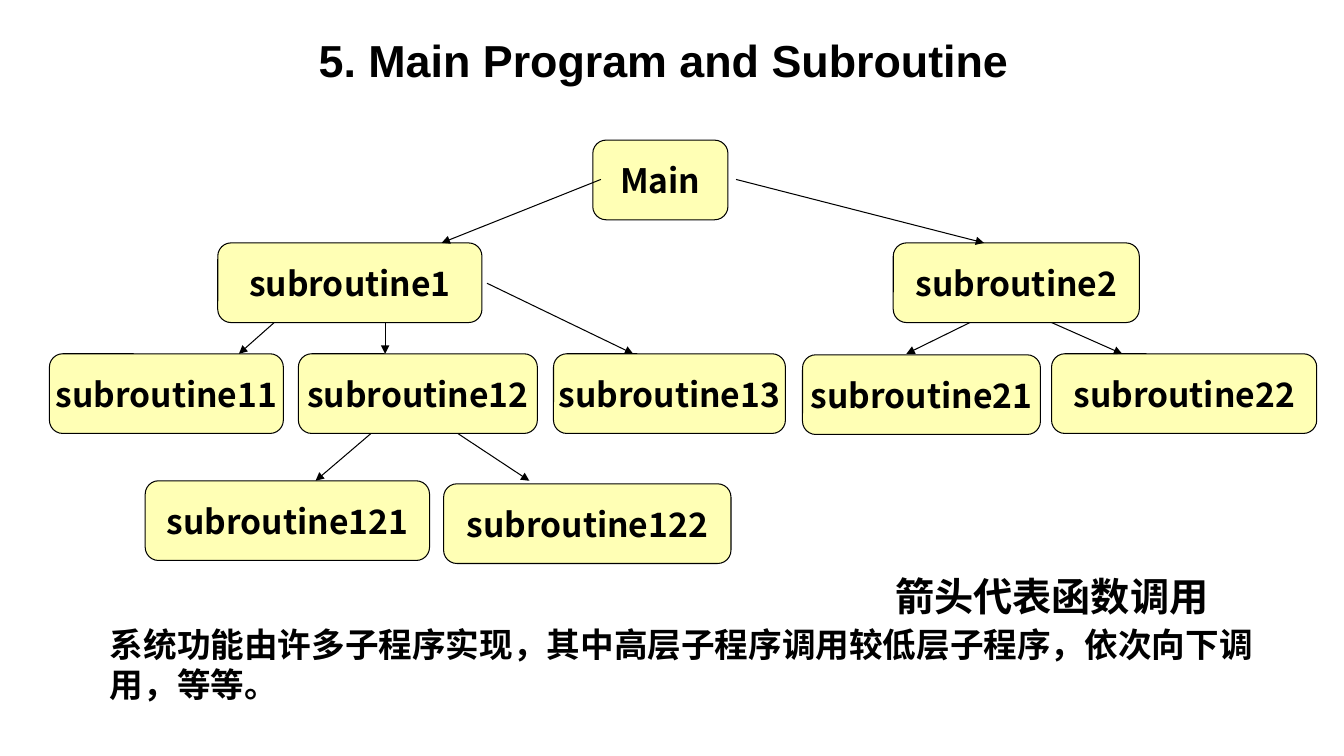
from lxml import etree
from pptx import Presentation
from pptx.dml.color import RGBColor
from pptx.enum.shapes import MSO_CONNECTOR, MSO_SHAPE
from pptx.enum.text import MSO_ANCHOR, MSO_AUTO_SIZE, PP_ALIGN
from pptx.oxml.ns import qn
from pptx.util import Inches, Pt

STRAIGHT = MSO_CONNECTOR.STRAIGHT
ROUNDED = MSO_SHAPE.ROUNDED_RECTANGLE
MIDDLE, TOP = MSO_ANCHOR.MIDDLE, MSO_ANCHOR.TOP
CENTER, LEFT = PP_ALIGN.CENTER, PP_ALIGN.LEFT
NO_FIT = MSO_AUTO_SIZE.NONE

COLORS = {"ink": "000000", "box": "FFFF00", "paper": "FFFFFF"}
CJK_FONT = "Noto Sans CJK SC"
BOX_HEIGHT = 0.79
TIERS = [1.39, 2.41, 3.51, 4.77]

# routine, left, top, width
ROUTINES = [
    ("Main", 5.88, TIERS[0], 1.34),
    ("subroutine1", 2.16, TIERS[1], 2.62),
    ("subroutine2", 8.86, TIERS[1], 2.44),
    ("subroutine11", 0.49, TIERS[2], 2.32),
    ("subroutine12", 2.96, TIERS[2], 2.37),
    ("subroutine13", 5.49, TIERS[2], 2.3),
    ("subroutine21", 7.96, TIERS[2] + 0.01, 2.36),
    ("subroutine22", 10.43, TIERS[2], 2.63),
    ("subroutine121", 1.44, TIERS[3], 2.82),
    ("subroutine122", 4.4, TIERS[3] + 0.03, 2.85),
]

# caller x, caller y, callee x, callee y
CALLS = [
    (5.96, 1.78, 4.38, TIERS[1]),
    (7.3, 1.78, 9.76, TIERS[1]),
    (2.72, 3.2, 2.37, TIERS[2]),
    (3.82, 3.2, 3.82, TIERS[2]),
    (4.83, 2.81, 6.28, TIERS[2]),
    (9.62, 3.2, 8.99, TIERS[2]),
    (10.43, 3.2, 11.13, TIERS[2]),
    (3.68, 4.3, 3.13, TIERS[3]),
    (4.54, 4.3, 5.25, TIERS[3]),
]


def add_bold_run(paragraph, text, size, font_name=CJK_FONT):
    """Add a bold run whose Latin and East Asian fonts are both font_name."""
    run = paragraph.add_run()
    run.text = text
    run.font.size = Pt(size)
    run.font.bold = True
    run.font.name = font_name
    run.font.color.rgb = RGBColor.from_string(COLORS["ink"])
    east_asian = etree.SubElement(run.font._element, qn("a:ea"))
    east_asian.set("typeface", font_name)


def place(shape, left, top, width, height):
    shape.left, shape.top = Inches(left), Inches(top)
    shape.width, shape.height = Inches(width), Inches(height)


prs = Presentation()
prs.slide_width, prs.slide_height = Inches(13.33), Inches(7.5)
slide = prs.slides.add_slide(prs.slide_layouts[1])

# Title
title = slide.shapes.title
place(title, 2.57, 0.28, 8.03, 0.63)
title.fill.solid()
title.fill.fore_color.rgb = RGBColor.from_string(COLORS["paper"])
title.text_frame.auto_size = NO_FIT
title.text_frame.vertical_anchor = MIDDLE
heading = title.text_frame.paragraphs[0]
heading.alignment = CENTER
add_bold_run(heading, "5. Main Program and Subroutine", 32, "Arial")

# Explanation below the call tree
explanation = slide.placeholders[1]
place(explanation, 0.99, 6.14, 11.57, 1.23)
frame = explanation.text_frame
frame.auto_size = NO_FIT
frame.vertical_anchor = TOP
lines = ["系统功能由许多子程序实现，其中高层子程序调用较低层子程序，依次向下调", "用，等等。"]
for index, line in enumerate(lines):
    paragraph = frame.add_paragraph() if index else frame.paragraphs[0]
    properties = paragraph._p.get_or_add_pPr()
    properties.set("marL", str(Inches(0.25)))
    properties.set("indent", str(-Inches(0.25)))
    etree.SubElement(properties, qn("a:buNone"))
    paragraph.alignment = LEFT
    paragraph.space_before = Pt(0)
    add_bold_run(paragraph, line, 24)

# Call tree
for routine, left, top, width in ROUTINES:
    box = slide.shapes.add_shape(
        ROUNDED, Inches(left), Inches(top), Inches(width), Inches(BOX_HEIGHT))
    box.shadow.inherit = False
    box.fill.solid()
    box.fill.fore_color.rgb = RGBColor.from_string(COLORS["box"])
    box_color = box.fill._xPr.find(qn("a:solidFill")).find(qn("a:srgbClr"))
    etree.SubElement(box_color, qn("a:alpha")).set("val", "29000")
    box.line.color.rgb = RGBColor.from_string(COLORS["ink"])
    box.line.width = Pt(0.75)
    box.text_frame.word_wrap = False
    box.text_frame.vertical_anchor = MIDDLE
    label = box.text_frame.paragraphs[0]
    label.alignment = CENTER
    add_bold_run(label, routine, 24)

for call in CALLS:
    arrow = slide.shapes.add_connector(STRAIGHT, *[Inches(value) for value in call])
    arrow.line.color.rgb = RGBColor.from_string(COLORS["ink"])
    arrow.line.width = Pt(0.75)
    etree.SubElement(arrow.line._ln, qn("a:tailEnd")).set("type", "triangle")
    etree.SubElement(arrow._element.spPr, qn("a:effectLst"))

# Legend for the arrows
legend = slide.shapes.add_textbox(Inches(8.78), Inches(5.63), Inches(3.54), Inches(0.57))
legend.text_frame.word_wrap = True
add_bold_run(legend.text_frame.paragraphs[0], "箭头代表函数调用", 28)

prs.save("out.pptx")
